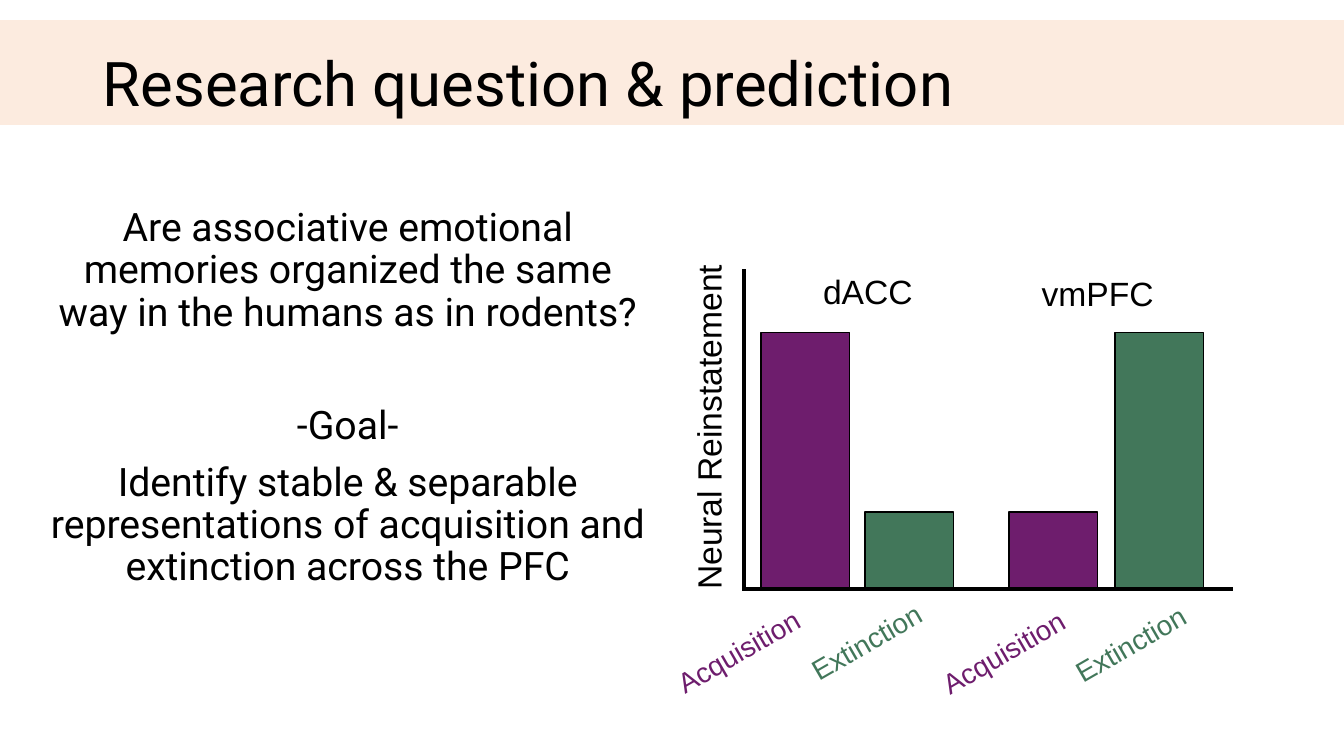
from lxml.etree import SubElement
from pptx import Presentation
from pptx.dml.color import RGBColor
from pptx.enum.shapes import MSO_CONNECTOR, MSO_SHAPE
from pptx.enum.text import MSO_ANCHOR, PP_ALIGN
from pptx.oxml.ns import qn
from pptx.util import Inches, Pt

COLORS = {
    "ink": "000000",
    "paper": "FFFFFF",
    "band": "F4B183",
    "Acquisition": "6E1D6D",
    "Extinction": "42775A",
}
COLUMNS, ROWS = 40, 30
BASELINE = 23.32
BAR_WIDTH = 2.64
HIGH, LOW = 10.12, 3

# phase, bar left, bar height, label centre
BARS = [
    ("Acquisition", 22.65, HIGH, (21.96, 25.8)),
    ("Extinction", 25.74, LOW, (25.77, 25.44)),
    ("Acquisition", 30.03, LOW, (29.85, 25.84)),
    ("Extinction", 33.18, HIGH, (33.63, 25.52)),
]
LABEL_WIDTHS = {"Acquisition": 4.68, "Extinction": 4.26}


class SlideBuilder:
    """Draws on one slide; lengths are columns and rows of a 40 by 30 grid."""

    def __init__(self, deck):
        self.column = deck.slide_width / COLUMNS
        self.row = deck.slide_height / ROWS
        self.slide = deck.slides.add_slide(deck.slide_layouts[6])
        self.shapes = self.slide.shapes
        background = self.slide.background.fill
        background.solid()
        background.fore_color.rgb = self.color("paper")

    def color(self, name):
        return RGBColor.from_string(COLORS[name])

    def scale(self, *lengths):
        """Turn alternating columns and rows into EMU."""
        units = (self.column, self.row)
        return [round(length * units[i % 2]) for i, length in enumerate(lengths)]

    def rectangle(self, frame, fill, outlined=True, opacity=100):
        block = self.shapes.add_shape(MSO_SHAPE.RECTANGLE, *self.scale(*frame))
        block.shadow.inherit = False
        block.fill.solid()
        block.fill.fore_color.rgb = self.color(fill)
        if opacity < 100:
            tint = block._element.spPr.find(qn("a:solidFill"))[0]
            SubElement(tint, qn("a:alpha"), val=str(opacity * 1000))
        if outlined:
            block.line.color.rgb = self.color("ink")
            block.line.width = Pt(1)
        else:
            block.line.fill.background()

    def text(self, frame, paragraphs, size, font, color="ink", wrap=True,
             align=PP_ALIGN.CENTER, anchor=MSO_ANCHOR.TOP, spacing=None):
        """Add a text box; paragraphs are pairs of words and space before."""
        box = self.shapes.add_textbox(*self.scale(*frame))
        body = box.text_frame
        body.word_wrap = wrap
        body.vertical_anchor = anchor
        for i, (words, space_before) in enumerate(paragraphs):
            paragraph = body.add_paragraph() if i else body.paragraphs[0]
            paragraph.text = words
            paragraph.alignment = align
            paragraph.space_before = Pt(space_before)
            if spacing:
                paragraph.line_spacing = spacing
            for run in paragraph.runs:
                run.font.size = Pt(size)
                run.font.name = font
                run.font.color.rgb = self.color(color)
        return box

    def label(self, words, center, width, size=24, color="ink", rotation=0):
        """Add a one-line chart label around its centre."""
        height = size / 12
        frame = (center[0] - width / 2, center[1] - height / 2, width, height)
        box = self.text(frame, [(words, 0)], size, "Arial", color, wrap=False)
        box.rotation = rotation

    def axis(self, start, end):
        line = self.shapes.add_connector(
            MSO_CONNECTOR.STRAIGHT, *self.scale(*start, *end))
        line.line.color.rgb = self.color("ink")
        line.line.width = Pt(3)
        SubElement(line._element.spPr, qn("a:effectLst"))


def main():
    deck = Presentation()
    deck.slide_width, deck.slide_height = Inches(13.33), Inches(7.5)
    page = SlideBuilder(deck)

    page.rectangle((0, 0.8, COLUMNS, 4.16), "band", outlined=False, opacity=25)
    page.text((2.76, 0.52, 34.5, 5.8), [("Research question & prediction", 0)],
              44, "Roboto", align=PP_ALIGN.LEFT, anchor=MSO_ANCHOR.MIDDLE,
              spacing=0.9)
    page.text((1.2, 8.04, 18.3, 21.72), [
        ("Are associative emotional memories organized the same way "
         "in the humans as in rodents?", 0),
        ("-Goal-", 51),
        ("Identify stable & separable representations of acquisition "
         "and extinction across the PFC", 10),
    ], 28, "Roboto", spacing=0.9)

    for phase, left, height, label_center in BARS:
        page.rectangle((left, BASELINE - height, BAR_WIDTH, height), phase)
        page.label(phase, label_center, LABEL_WIDTHS[phase], 20, phase, 330)

    page.label("dACC", (25.83, 11.56), 3.3)
    page.label("vmPFC", (32.67, 11.64), 3.96)
    page.label("Neural Reinstatement", (21.08, 16.96), 10.65, rotation=270)
    page.axis((22.14, 10.68), (22.14, BASELINE))
    page.axis((36.69, 23.36), (22.08, 23.36))

    deck.save("out.pptx")


if __name__ == "__main__":
    main()
